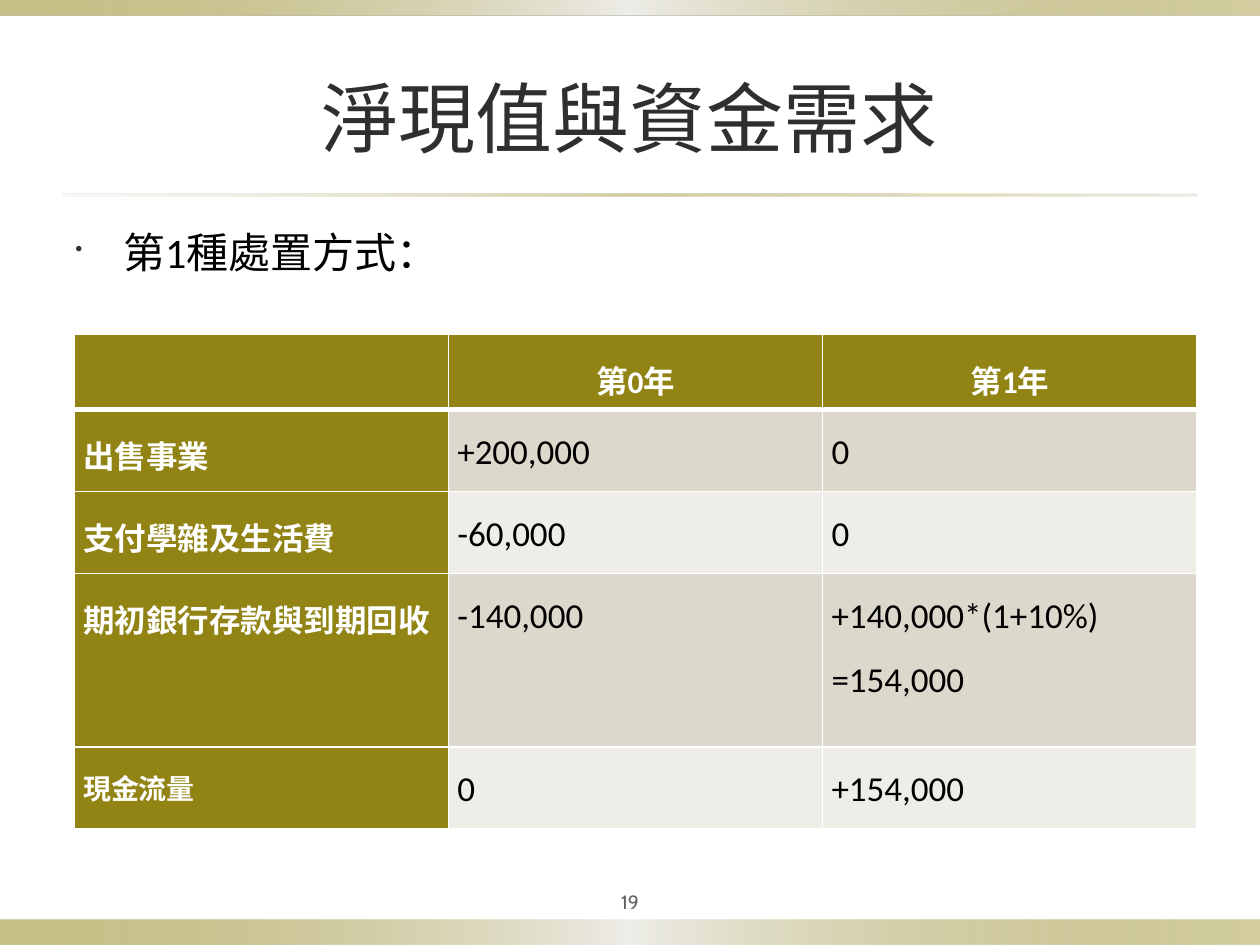
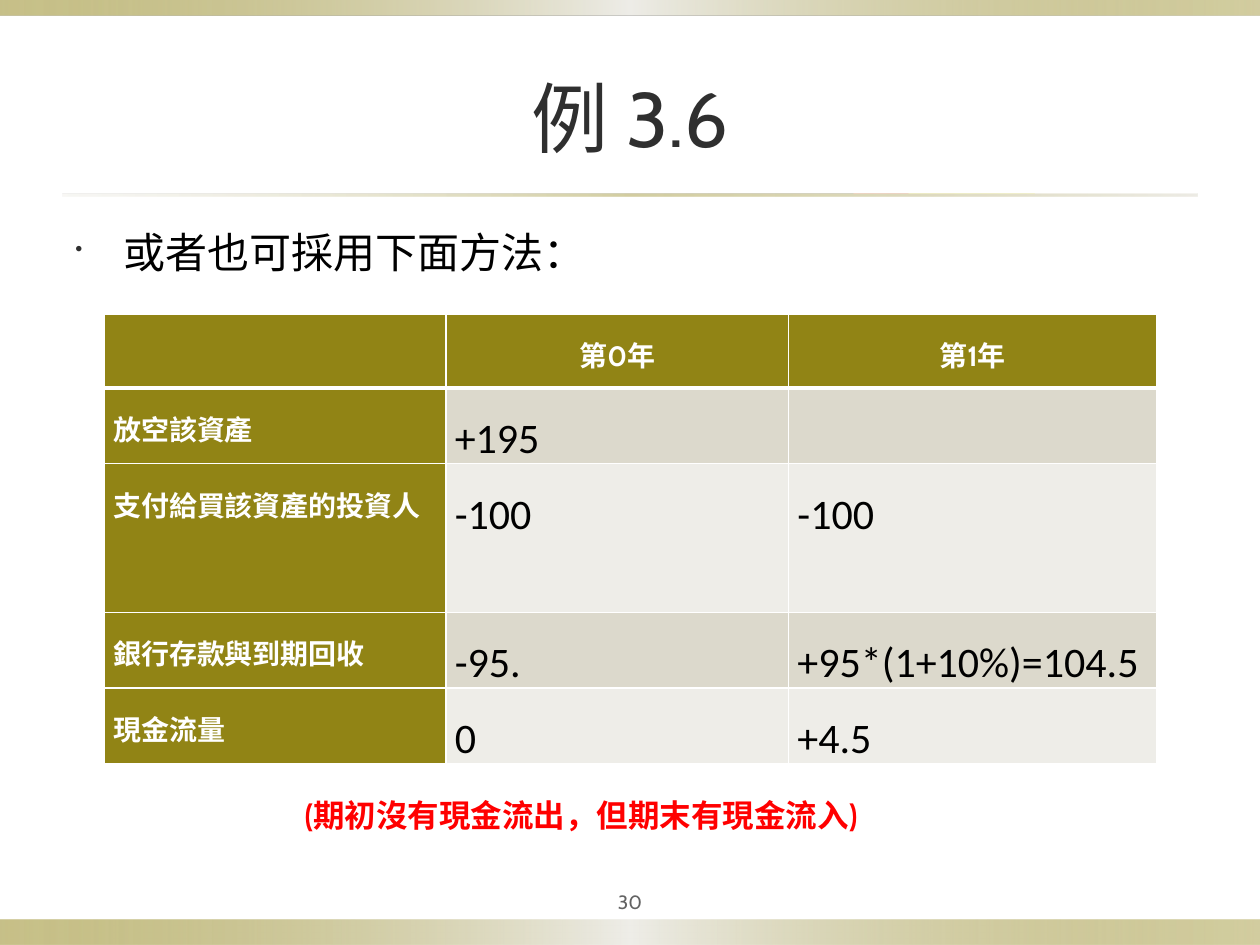
"""Build two slides that compare cash flows in year 0 and year 1."""
from pptx import Presentation
from pptx.dml.color import RGBColor
from pptx.enum.shapes import MSO_SHAPE
from pptx.enum.text import MSO_ANCHOR, MSO_AUTO_SIZE, PP_ALIGN
from pptx.oxml import parse_xml
from pptx.oxml.ns import nsdecls, qn
from pptx.util import Inches, Pt

OLIVE = RGBColor(0x91, 0x84, 0x15)
SAND = RGBColor(0xDC, 0xD9, 0xCC)
PALE = RGBColor(0xEE, 0xED, 0xE8)
DARK = RGBColor(0x2F, 0x2F, 0x2F)
GREY = RGBColor(0x63, 0x63, 0x63)
BLACK = RGBColor(0, 0, 0)
WHITE = RGBColor(0xFF, 0xFF, 0xFF)
RED = RGBColor(0xFF, 0, 0)

BAND_STOPS = ((0, OLIVE, 50), (50, PALE, 100), (100, OLIVE, 40))
RULE_STOPS = ((0, SAND, 20), (50, OLIVE, 40), (100, SAND, 50))
STRIPES = (
    ((0, 7.3, 10, 0.2), BAND_STOPS),
    ((0, 0, 10, 0.12), BAND_STOPS),
    ((0.5, 1.54, 9, 0.02), RULE_STOPS),
)


def font_format(size, color, name="Cabin", bold=False):
    """Return font values as a dict."""
    return {"size": Pt(size), "name": name, "bold": bold, "color": color}


TITLE = font_format(44, DARK)
NUMBER = font_format(11, GREY)
NOTE = font_format(18, RED, bold=True)


def inches(at):
    """Convert a sequence of numbers to lengths."""
    return [Inches(v) for v in at]


def format_text(tf, fmt, align=None, line_spacing=None):
    """Format every paragraph and run of a text frame."""
    for p in tf.paragraphs:
        p.alignment = align
        p.line_spacing = line_spacing
        for r in p.runs:
            for name, value in fmt.items():
                if name == "color":
                    r.font.color.rgb = value
                else:
                    setattr(r.font, name, value)


def add_stripe(s, at, stops):
    """Add a borderless rectangle with a horizontal gradient."""
    sp = s.shapes.add_shape(MSO_SHAPE.RECTANGLE, *inches(at))
    sp.shadow.inherit = False
    sp.line.fill.background()
    sp.fill.gradient()
    sp.fill.gradient_angle = 0
    gs_list = sp._element.spPr.find(qn("a:gradFill")).find(qn("a:gsLst"))
    for gs in list(gs_list):
        gs_list.remove(gs)
    for pos, color, alpha in stops:
        gs_list.append(parse_xml(
            f'<a:gs {nsdecls("a")} pos="{pos * 1000}"><a:srgbClr val="{color}">'
            f'<a:alpha val="{alpha * 1000}"/></a:srgbClr></a:gs>'))


def add_text(s, at, text, fmt, align=None):
    """Add a wrapped text box and return its text frame."""
    tf = s.shapes.add_textbox(*inches(at)).text_frame
    tf.word_wrap = True
    tf.text = text
    format_text(tf, fmt, align)
    return tf


def add_bullet(s, text, fmt, align=None):
    """Add the body text with a small bullet."""
    tf = add_text(s, (0.5, 1.75, 9, 5.13), text, fmt, align)
    p = tf.paragraphs[0]
    p.space_before = Pt(5)
    pPr = p._p.get_or_add_pPr()
    pPr.set("marL", str(Inches(0.38)))
    pPr.set("indent", str(-Inches(0.38)))
    for xml in (f'<a:buClr {nsdecls("a")}><a:srgbClr val="{DARK}"/></a:buClr>',
                f'<a:buSzPct {nsdecls("a")} val="50000"/>',
                f'<a:buChar {nsdecls("a")} char="•"/>'):
        pPr.append(parse_xml(xml))


def add_page(prs, title, number):
    """Add a slide with title, stripes and page number."""
    s = prs.slides.add_slide(prs.slide_layouts[5])
    for at, stops in STRIPES:
        add_stripe(s, at, stops)
    sp = s.shapes.title
    sp.left, sp.top, sp.width, sp.height = inches((0.5, 0.3, 9, 1.25))
    tf = sp.text_frame
    tf.text = title
    tf.vertical_anchor = MSO_ANCHOR.MIDDLE
    format_text(tf, TITLE, PP_ALIGN.CENTER)
    tf = add_text(s, (4.5, 7, 1, 0.31), number, NUMBER, PP_ALIGN.CENTER)
    tf.vertical_anchor = MSO_ANCHOR.MIDDLE
    for side in ("left", "top", "right", "bottom"):
        setattr(tf, f"margin_{side}", Inches(0.05))
    return s


def add_borders(cell, top, bottom):
    """Draw white cell borders with the given top and bottom widths."""
    tcPr = cell._tc.get_or_add_tcPr()
    for side, width in (("L", 1), ("R", 1), ("T", top), ("B", bottom)):
        tcPr.append(parse_xml(
            f'<a:ln{side} {nsdecls("a")} w="{Pt(width)}"><a:solidFill>'
            f'<a:srgbClr val="{WHITE}"/></a:solidFill></a:ln{side}>'))


def fill_cell(cell, text, fmt, color, align=None):
    """Write and format one table cell."""
    cell.margin_left = cell.margin_right = Inches(0.07)
    cell.margin_top = cell.margin_bottom = 0
    cell.fill.solid()
    cell.fill.fore_color.rgb = color
    cell.text = text
    format_text(cell.text_frame, fmt, align, 1.5)


def add_cash_table(s, pos, widths, heights, rows, head, label, value):
    """Add a cash flow table with olive headings and banded rows."""
    size = (sum(widths), sum(heights))
    table = s.shapes.add_table(len(rows), len(widths), *inches(pos + size)).table
    for col, width in zip(table.columns, widths):
        col.width = Inches(width)
    for row, height in zip(table.rows, heights):
        row.height = Inches(height)
    for i, texts in enumerate(rows):
        for j, text in enumerate(texts):
            cell = table.cell(i, j)
            add_borders(cell, 3 if i == 1 else 1, 3 if i == 0 else 1)
            if i == 0:
                fill_cell(cell, text, head, OLIVE, PP_ALIGN.CENTER)
            elif j == 0:
                fill_cell(cell, text, label, OLIVE)
            else:
                fill_cell(cell, text, value, SAND if i % 2 else PALE)
    return table


def build_net_value(prs):
    """Build the slide on net present value and funding."""
    s = add_page(prs, "淨現值與資金需求", "19")
    add_bullet(s, "第1種處置方式：", font_format(24, BLACK, "Calibri"),
               PP_ALIGN.JUSTIFY)
    rows = (
        ("", "第0年", "第1年"),
        ("出售事業", "+200,000", "0"),
        ("支付學雜及生活費", "-60,000", "0"),
        ("期初銀行存款與到期回收", "-140,000", "+140,000*(1+10%)\n=154,000"),
        ("現金流量", "0", "+154,000"),
    )
    table = add_cash_table(
        s, (0.59, 2.65), (2.97,) * 3, (0.6, 0.65, 0.65, 1.38, 0.65), rows,
        head=font_format(18, WHITE, "Calibri", True),
        label=font_format(18, WHITE, bold=True),
        value=font_format(20, BLACK, "Calibri"))
    format_text(table.cell(4, 0).text_frame,
                font_format(16, WHITE, bold=True), line_spacing=1.5)


def build_example(prs):
    """Build the slide with example 3.6."""
    s = add_page(prs, "例 3.6", "30")
    add_bullet(s, "或者也可採用下面方法：", font_format(24, BLACK))
    rows = (
        ("", "第0年", "第1年"),
        ("放空該資產", "+195", ""),
        ("支付給買該資產的投資人", "-100", "-100"),
        ("銀行存款與到期回收", "-95.", "+95*(1+10%)=104.5"),
        ("現金流量", "0", "+4.5"),
    )
    heading = font_format(16, WHITE, bold=True)
    add_cash_table(
        s, (0.83, 2.49), (2.71, 2.72, 2.92), (0.59, 0.59, 1.18, 0.59, 0.59),
        rows, head=heading, label=heading,
        value=font_format(24, BLACK, "Calibri"))
    tf = add_text(s, (2.32, 6.27, 5.12, 0.4),
                  "(期初沒有現金流出，但期末有現金流入)", NOTE)
    tf.auto_size = MSO_AUTO_SIZE.SHAPE_TO_FIT_TEXT


def main():
    """Build and save the presentation."""
    prs = Presentation()
    prs.slide_width, prs.slide_height = inches((10, 7.5))
    build_net_value(prs)
    build_example(prs)
    prs.save("out.pptx")


if __name__ == "__main__":
    main()
